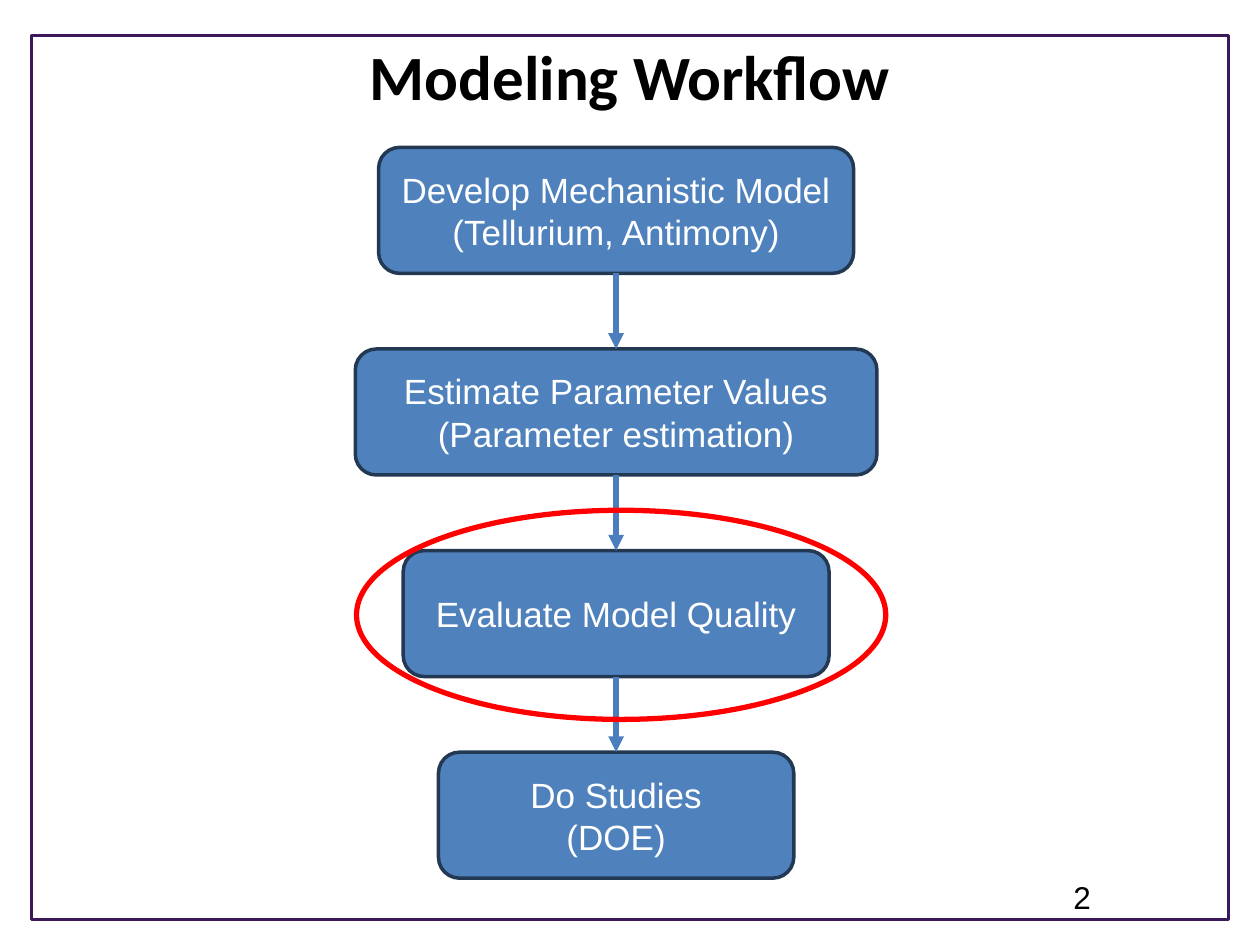
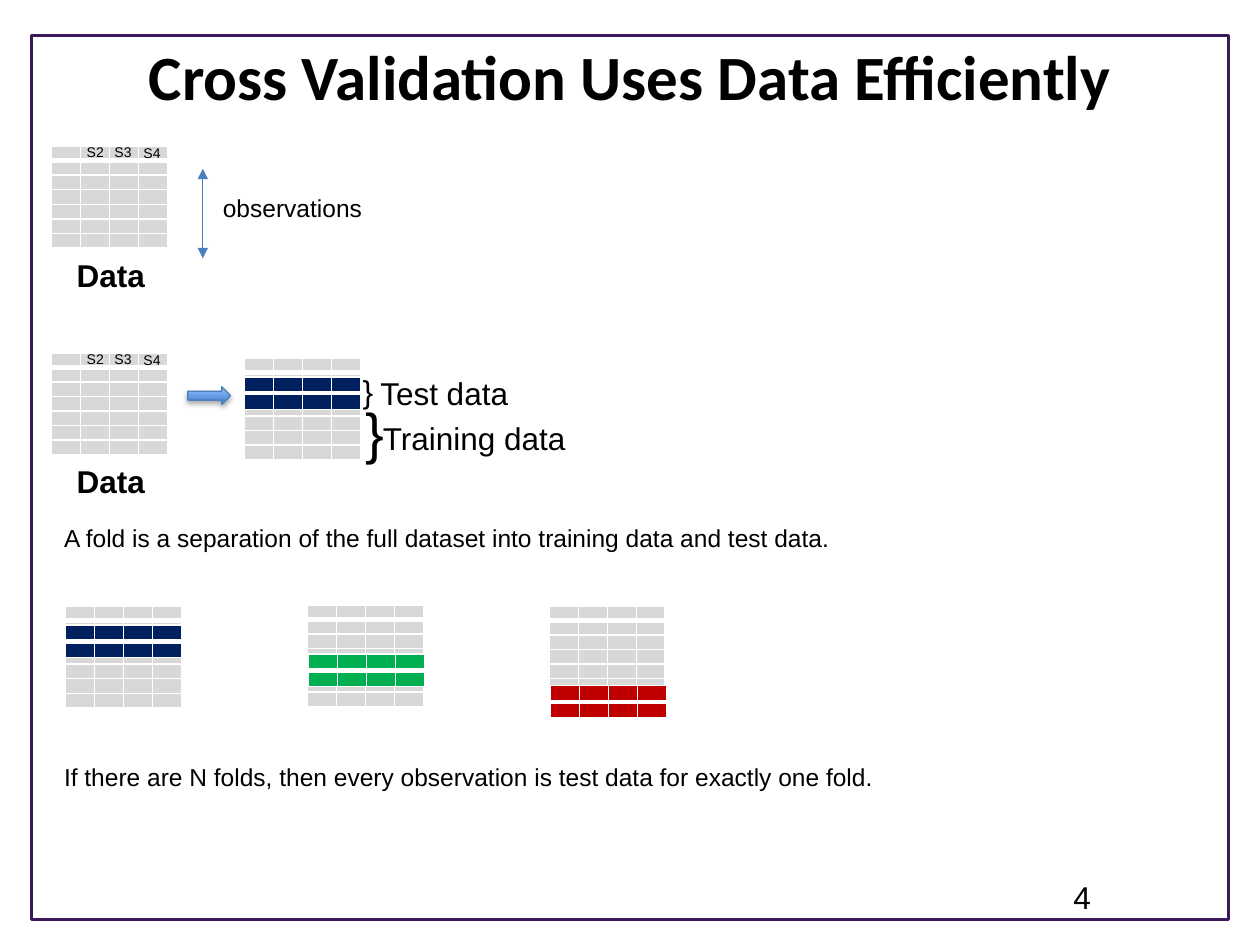
from dataclasses import dataclass

from lxml import etree
from pptx import Presentation
from pptx import util as u
from pptx.dml.color import RGBColor
from pptx.enum import shapes, text
from pptx.oxml import ns

Inches, Pt = u.Inches, u.Pt


@dataclass(frozen=True)
class Theme:
    frame: str = "3B185A"
    ink: str = "000000"
    white: str = "FFFFFF"
    box: str = "4F81BD"
    box_edge: str = "233953"
    connector: str = "4B7EBC"
    highlight: str = "FF0000"
    arrow_edge: str = "4A7DBA"
    arrow_dark: str = "3E7FCD"
    arrow_light: str = "96C0FF"
    cell: str = "D8D8D8"
    navy: str = "002060"
    green: str = "00B050"
    red: str = "C00000"
    title_font: str = "Calibri"
    body_font: str = "Arial"
    title_size: int = 36
    brace_size: int = 32
    box_size: int = 20
    label_size: int = 18
    body_size: int = 14
    header_size: int = 8


THEME = Theme()
COLUMN_WIDTH = 0.23
DATA_ROWS, DATA_HEIGHT = 7, 0.81
FOLD_ROWS, FOLD_HEIGHT = 2, 0.26


def color(value):
    return RGBColor.from_string(value)


def add_xml(parent, tag, **attributes):
    return etree.SubElement(parent, ns.qn(tag), attributes)


class Deck:
    def __init__(self, theme):
        self.theme = theme
        self.presentation = Presentation()
        self.presentation.slide_width = Inches(10)
        self.presentation.slide_height = Inches(7.5)
        self.slide = None

    def start_slide(self, title, number):
        """Add a slide with the shared frame, title and slide number."""
        theme = self.theme
        self.slide = self.presentation.slides.add_slide(self.presentation.slide_layouts[6])
        self.shape("RECTANGLE", 0.25, 0.28, 9.5, 7.02, theme.frame, 1.75)
        self.text(title, 0.5, 0.25, 9, 0.92, theme.title_size, bold=True,
                  font=theme.title_font, align="CENTER")
        self.text(number, 8.42, 6.92, 0.58, 0.4, theme.label_size)

    def add_lines(self, frame, lines, size, ink, font=None, bold=False, align="LEFT"):
        for index, line in enumerate(lines):
            paragraph = frame.paragraphs[0] if index == 0 else frame.add_paragraph()
            paragraph.alignment = getattr(text.PP_ALIGN, align)
            run = paragraph.add_run()
            run.text = line
            run.font.name = font or self.theme.body_font
            run.font.size = Pt(size)
            run.font.bold = bold
            run.font.color.rgb = color(ink)

    def text(self, content, left, top, width, height, size, wrap=True, **style):
        box = self.slide.shapes.add_textbox(
            Inches(left), Inches(top), Inches(width), Inches(height))
        box.text_frame.word_wrap = wrap
        if not wrap:
            box.text_frame.auto_size = text.MSO_AUTO_SIZE.SHAPE_TO_FIT_TEXT
        self.add_lines(box.text_frame, [content], size, self.theme.ink, **style)

    def shape(self, kind, left, top, width, height, line, line_width, fill=None):
        shape = self.slide.shapes.add_shape(
            getattr(shapes.MSO_SHAPE, kind),
            Inches(left), Inches(top), Inches(width), Inches(height))
        shape.shadow.inherit = False
        shape.line.color.rgb = color(line)
        shape.line.width = Pt(line_width)
        if fill:
            shape.fill.solid()
            shape.fill.fore_color.rgb = color(fill)
        else:
            shape.fill.background()
        return shape

    def step(self, lines, center, top, width, height):
        theme = self.theme
        box = self.shape("ROUNDED_RECTANGLE", center - width / 2, top, width, height,
                         theme.box_edge, 2, theme.box)
        box.text_frame.word_wrap = True
        box.text_frame.vertical_anchor = text.MSO_ANCHOR.MIDDLE
        self.add_lines(box.text_frame, lines, theme.box_size, theme.white, align="CENTER")

    def arrow(self, x, top, bottom, width, both_ends=False):
        connector = self.slide.shapes.add_connector(
            shapes.MSO_CONNECTOR.STRAIGHT, Inches(x), Inches(top), Inches(x), Inches(bottom))
        connector.line.color.rgb = color(self.theme.connector)
        connector.line.width = Pt(width)
        properties = connector._element.spPr
        line = properties.find(ns.qn("a:ln"))
        if both_ends:
            add_xml(line, "a:headEnd", type="triangle")
        add_xml(line, "a:tailEnd", type="triangle")
        add_xml(properties, "a:effectLst")

    def block_arrow(self, left, top, width, height):
        """Right arrow with a gradient and a soft shadow below it."""
        theme = self.theme
        arrow = self.shape("RIGHT_ARROW", left, top, width, height, theme.arrow_edge, 0.75)
        arrow.fill.gradient()
        arrow.fill.gradient_angle = 90
        stops = zip(arrow.fill.gradient_stops, (theme.arrow_dark, theme.arrow_light))
        for position, (stop, value) in enumerate(stops):
            stop.position = position
            stop.color.rgb = color(value)
        effects = arrow._element.spPr.find(ns.qn("a:effectLst"))
        shadow = add_xml(effects, "a:outerShdw", blurRad=str(Pt(3.1)), dist=str(Pt(1.8)),
                         dir="5400000", rotWithShape="0")
        shade = add_xml(shadow, "a:srgbClr", val=theme.ink)
        add_xml(shade, "a:alpha", val="35000")

    def grid(self, left, top, rows, height, fill):
        """Table of empty filled cells, with a thick rule below its first row."""
        columns = 4
        table = self.slide.shapes.add_table(
            rows, columns, Inches(left), Inches(top),
            Inches(columns * COLUMN_WIDTH), Inches(height)).table
        table.first_row = table.horz_banding = False
        for column in table.columns:
            column.width = Inches(COLUMN_WIDTH)
        for index, row in enumerate(table.rows):
            row.height = Inches(height / rows)
            for cell in row.cells:
                self.cell(cell, fill, bottom_width=3 if index == 0 else 1)

    def cell(self, cell, fill, bottom_width):
        cell.margin_left = cell.margin_right = cell.margin_top = cell.margin_bottom = 0
        properties = cell._tc.get_or_add_tcPr()
        for side in "LRTB":
            width = bottom_width if side == "B" else 1
            border = add_xml(properties, f"a:ln{side}", w=str(Pt(width)))
            solid = add_xml(border, "a:solidFill")
            add_xml(solid, "a:srgbClr", val=self.theme.white)
        cell.fill.solid()
        cell.fill.fore_color.rgb = color(fill)
        add_xml(cell.text_frame.paragraphs[0]._p, "a:endParaRPr", sz="100")

    def data_grid(self, left, top):
        self.grid(left, top, DATA_ROWS, DATA_HEIGHT, self.theme.cell)

    def fold_grid(self, left, top, fold_left, fold_top, fill):
        """Data grid with two test rows laid over it."""
        self.data_grid(left, top)
        self.grid(fold_left, fold_top, FOLD_ROWS, FOLD_HEIGHT, fill)

    def labelled_data(self, top):
        """Data grid with its column headers and caption."""
        theme = self.theme
        self.data_grid(0.41, top)
        for header, left, rise in (("S2", 0.59, 0.07), ("S3", 0.81, 0.07), ("S4", 1.04, 0.06)):
            self.text(header, left, top - rise, 0.34, 0.24, theme.header_size, wrap=False)
        self.text("Data", 0.51, top + 0.82, 0.75, 0.4, theme.label_size, bold=True)


def build_workflow(deck):
    deck.start_slide("Modeling Workflow", "2")
    center, first_top, pitch, height = 4.89, 1.17, 1.6, 1
    steps = (
        (("Develop Mechanistic Model", "(Tellurium, Antimony)"), 3.77),
        (("Estimate Parameter Values", "(Parameter estimation)"), 4.14),
        (("Evaluate Model Quality",), 3.38),
        (("Do Studies", "(DOE)"), 2.82),
    )
    for index, (lines, width) in enumerate(steps):
        top = first_top + index * pitch
        deck.step(lines, center, top, width, height)
        if index:
            deck.arrow(center, top - pitch + height, top, 3)
    deck.shape("OVAL", 2.83, 4.05, 4.2, 1.66, deck.theme.highlight, 3)


def build_cross_validation(deck):
    theme = deck.theme
    deck.start_slide("Cross Validation Uses Data Efficiently", "4")

    deck.labelled_data(1.16)
    deck.arrow(1.61, 1.34, 2.05, 0.75, both_ends=True)
    deck.text("observations", 1.67, 1.48, 1.31, 0.34, theme.body_size, wrap=False)

    deck.labelled_data(2.8)
    deck.block_arrow(1.49, 3.07, 0.34, 0.14)
    deck.fold_grid(1.94, 2.84, 1.94, 2.99, theme.navy)
    deck.text("Test data", 2.92, 2.92, 1.74, 0.4, theme.label_size)
    deck.text("Training data", 2.94, 3.28, 1.74, 0.4, theme.label_size)
    deck.text("}", 2.78, 2.9, 0.29, 0.4, theme.label_size, wrap=False)
    deck.text("}", 2.8, 3.11, 0.35, 0.64, theme.brace_size, wrap=False)

    folds = (
        (0.52, 4.81, 0.52, 4.96, theme.navy),
        (2.44, 4.8, 2.45, 5.19, theme.green),
        (4.36, 4.81, 4.37, 5.44, theme.red),
    )
    for fold in folds:
        deck.fold_grid(*fold)

    statements = (
        (4.1, "A fold is a separation of the full dataset into training data and test data."),
        (6, "If there are N folds, then every observation is test data for exactly one fold."),
    )
    for top, statement in statements:
        deck.text(statement, 0.41, top, 8.82, 0.34, theme.body_size)


def main():
    deck = Deck(THEME)
    build_workflow(deck)
    build_cross_validation(deck)
    deck.presentation.save("out.pptx")


if __name__ == "__main__":
    main()
